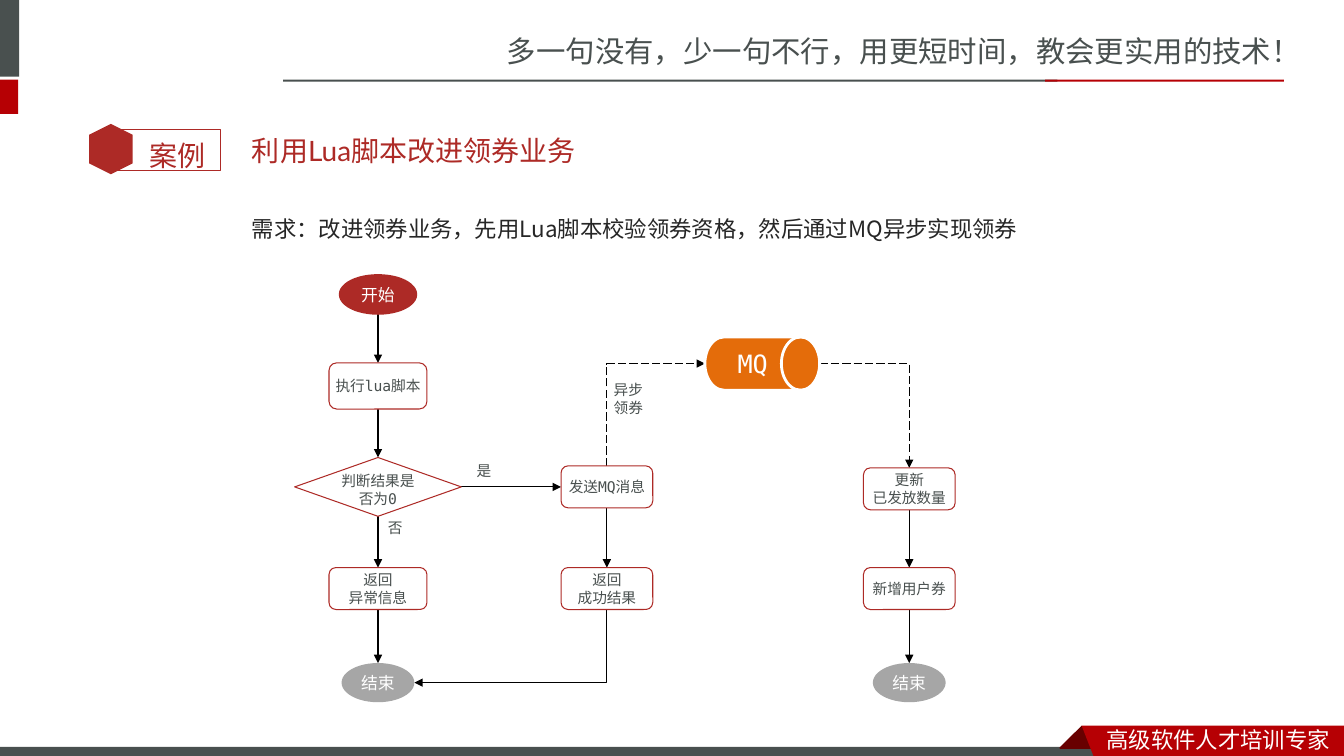
from lxml.etree import SubElement
from pptx import Presentation
from pptx.dml.color import RGBColor
from pptx.enum.dml import MSO_LINE
from pptx.enum.shapes import MSO_CONNECTOR as Connector, MSO_SHAPE as Shape
from pptx.enum.text import MSO_ANCHOR as Anchor, PP_ALIGN as Align
from pptx.oxml.ns import qn
from pptx.util import Pt

WHITE = RGBColor(0xFF, 0xFF, 0xFF)
BLACK = RGBColor(0, 0, 0)
SLATE = RGBColor(0x49, 0x50, 0x4F)
INK = RGBColor(0x26, 0x26, 0x26)
RED = RGBColor(0xB6, 0x00, 0x04)
DARK_RED = RGBColor(0x68, 0x00, 0x00)
BRICK = RGBColor(0xAD, 0x2A, 0x26)
ORANGE = RGBColor(0xE4, 0x6C, 0x0A)
GREY = RGBColor(0xA6, 0xA6, 0xA6)

SANS, MONO = "Noto Sans CJK SC", "DejaVu Sans Mono"
LEFT, MIDDLE, RIGHT = 270, 433.5, 649.5

TITLE = "利用Lua脚本改进领券业务"
TITLE_BOX = (172.8, 87.1, 725.8, 41)

BARS = [
    (-4.3, 0, 18, 54.7, SLATE),
    (-4.3, 56.9, 17.3, 24.5, RED),
    (202.3, 56.9, 553, 1.5, SLATE),
    (746.6, 56.9, 170.6, 1.5, RED),
    (-0.7, 533.5, 792, 8.6, SLATE),
]
RIBBON_FOLD = [(772.6, 518.4), (788.4, 534.2), (787.7, 535), (757.4, 535), (756.7, 534.2)]
RIBBON = [(772.6, 518.4), (960, 518.4), (960, 542.9), (781.9, 542.2)]

LABELS = [
    ("多一句没有，少一句不行，用更短时间，教会更实用的技术！", (355, 20.2, 605.5, 33.8), 21, SANS, SLATE, 1),
    ("高级软件人才培训专家", (783.4, 514.8, 176.6, 26.6), 16, SANS, WHITE, 1),
    ("案例", (99.4, 83.5, 61.2, 40.3), 20, "Calibri", BRICK, 1.5),
    ("需求：改进领券业务，先用Lua脚本校验领券资格，然后通过MQ异步实现领券",
     (172.8, 140.7, 725.8, 293), 16, "Noto Sans CJK JP", INK, 1.5),
    ("否", (270, 367.2, 25.2, 20.2), 10.5, MONO, SLATE, 1),
    ("是", (333.4, 326.2, 25.2, 20.2), 10.5, MONO, SLATE, 1),
    ("异步领券", (431.3, 268.6, 38.9, 32.4), 10.5, MONO, SLATE, 1),
]

STYLES = {
    "start": (Shape.OVAL, 54, 27, BRICK, BRICK, 2, 12, WHITE),
    "end": (Shape.OVAL, 52, 28, GREY, None, 0, 12, WHITE),
    "step": (Shape.ROUNDED_RECTANGLE, 65.5, 30, WHITE, BRICK, 0.75, 10.5, SLATE),
    "wide step": (Shape.ROUNDED_RECTANGLE, 70, 30, WHITE, BRICK, 0.75, 10.5, SLATE),
    "tall step": (Shape.ROUNDED_RECTANGLE, 70, 33, WHITE, BRICK, 0.75, 10.5, SLATE),
    "decision": (Shape.DIAMOND, 119, 42, WHITE, BRICK, 0.75, 10.5, SLATE),
    "queue": (Shape.FLOWCHART_DIRECT_ACCESS_STORAGE, 82, 38, ORANGE, WHITE, 2, 18, WHITE),
}
NODES = {
    "start": ("start", LEFT, 210.3, "开始"),
    "script": ("tall step", LEFT, 275.7, "执行lua脚本"),
    "check": ("decision", LEFT, 347.8, "判断结果是否为0"),
    "failure": ("wide step", LEFT, 420.4, "返回\n异常信息"),
    "end": ("end", LEFT, 487.6, "结束"),
    "send": ("step", MIDDLE, 347.8, "发送MQ消息"),
    "success": ("step", MIDDLE, 420.4, "返回\n成功结果"),
    "queue": ("queue", 544.5, 259.7, "MQ"),
    "update": ("step", RIGHT, 349.2, "更新\n已发放数量"),
    "add": ("step", RIGHT, 420.4, "新增用户券"),
    "second end": ("end", RIGHT, 487.6, "结束"),
}
ARROWS = [
    ("start", "bottom", "script", "top"),
    ("script", "bottom", "check", "top"),
    ("check", "bottom", "failure", "top"),
    ("failure", "bottom", "end", "top"),
    ("check", "right", "send", "left"),
    ("send", "bottom", "success", "top"),
    ("success", "bottom", "end", "right"),
    ("send", "top", "queue", "left"),
    ("queue", "right", "update", "top"),
    ("update", "bottom", "add", "top"),
    ("add", "bottom", "second end", "top"),
]
DASHED = {("send", "queue"), ("queue", "update")}
SIDES = {"top": (0, -0.5), "bottom": (0, 0.5), "left": (-0.5, 0), "right": (0.5, 0)}


def points(values):
    return [Pt(value) for value in values]


def paint(shape, fill, line=None, width=0.75):
    shape.shadow.inherit = False
    if fill is None:
        shape.fill.background()
    else:
        shape.fill.solid()
        shape.fill.fore_color.rgb = fill
    if line is None:
        shape.line.fill.background()
    else:
        shape.line.color.rgb = line
        shape.line.width = Pt(width)


def write(shape, text, size, font, color, align=Align.LEFT, spacing=1):
    frame = shape.text_frame
    frame.text = text
    frame.word_wrap = True
    for paragraph in frame.paragraphs:
        paragraph.alignment = align
        paragraph.line_spacing = spacing
        for run in paragraph.runs:
            run.font.size = Pt(size)
            run.font.name = font
            run.font.color.rgb = color
            SubElement(run.font._element, qn("a:ea")).set("typeface", SANS)


def add_bar(shapes, left, top, width, height, color):
    bar = shapes.add_shape(Shape.RECTANGLE, *points((left, top, width, height)))
    paint(bar, color)


def add_outline(shapes, corners, color):
    first, *rest = [points(corner) for corner in corners]
    builder = shapes.build_freeform(*first, scale=1)
    builder.add_line_segments(rest, close=True)
    paint(builder.convert_to_shape(), color)


def add_node(shapes, style, center_x, center_y, text):
    kind, width, height, fill, line, line_width, size, color = STYLES[style]
    box = (center_x - width / 2, center_y - height / 2, width, height)
    node = shapes.add_shape(kind, *points(box))
    paint(node, fill, line, line_width)
    write(node, text, size, MONO, color, Align.CENTER)
    frame = node.text_frame
    frame.vertical_anchor = Anchor.MIDDLE
    if style != "queue":
        frame.margin_left = frame.margin_right = 0
    if style == "decision":
        frame.margin_bottom = 0


def site(name, side):
    style, center_x, center_y, _ = NODES[name]
    _, width, height, *_ = STYLES[style]
    shift_x, shift_y = SIDES[side]
    return center_x + shift_x * width, center_y + shift_y * height


def add_arrow(shapes, source, exit_side, target, entry_side):
    (x1, y1), (x2, y2) = site(source, exit_side), site(target, entry_side)
    vertical_exit = exit_side in ("top", "bottom")
    bent = vertical_exit != (entry_side in ("top", "bottom"))
    turned = bent and vertical_exit
    if turned:
        middle_x, middle_y = (x1 + x2) / 2, (y1 + y2) / 2
        half_x, half_y = (y2 - y1) / 2, (x1 - x2) / 2
        x1, y1 = middle_x - half_x, middle_y - half_y
        x2, y2 = middle_x + half_x, middle_y + half_y
    kind = Connector.ELBOW if bent else Connector.STRAIGHT
    arrow = shapes.add_connector(kind, *points((x1, y1, x2, y2)))
    arrow.line.color.rgb = BLACK
    arrow.line.width = Pt(0.75)
    if (source, target) in DASHED:
        arrow.line.dash_style = MSO_LINE.LONG_DASH
    properties = arrow._element.spPr
    if bent:
        properties.find(qn("a:prstGeom")).set("prst", "bentConnector2")
    if turned:
        properties.find(qn("a:xfrm")).set("rot", str(90 * 60000))
    SubElement(properties.find(qn("a:ln")), qn("a:tailEnd")).set("type", "triangle")
    SubElement(properties, qn("a:effectLst"))


def main():
    presentation = Presentation()
    presentation.slide_width, presentation.slide_height = Pt(960), Pt(540)
    slide = presentation.slides.add_slide(presentation.slide_layouts[5])
    shapes = slide.shapes

    title = shapes.title
    title.left, title.top, title.width, title.height = points(TITLE_BOX)
    write(title, TITLE, 20, "Lato", BRICK)
    title.text_frame.vertical_anchor = Anchor.MIDDLE

    for bar in BARS:
        add_bar(shapes, *bar)
    add_outline(shapes, RIBBON_FOLD, DARK_RED)
    add_outline(shapes, RIBBON, RED)

    frame = shapes.add_shape(Shape.RECTANGLE, *points((78.9, 92.4, 78.5, 29.6)))
    paint(frame, None, BRICK, 1)
    hexagon = shapes.add_shape(Shape.HEXAGON, *points((61.2, 91, 36, 31)))
    hexagon.rotation = 90
    paint(hexagon, BRICK)

    for text, box, size, font, color, spacing in LABELS:
        label = shapes.add_textbox(*points(box))
        write(label, text, size, font, color, spacing=spacing)

    for arrow in ARROWS:
        add_arrow(shapes, *arrow)
    for node in NODES.values():
        add_node(shapes, *node)

    presentation.save("out.pptx")


if __name__ == "__main__":
    main()
